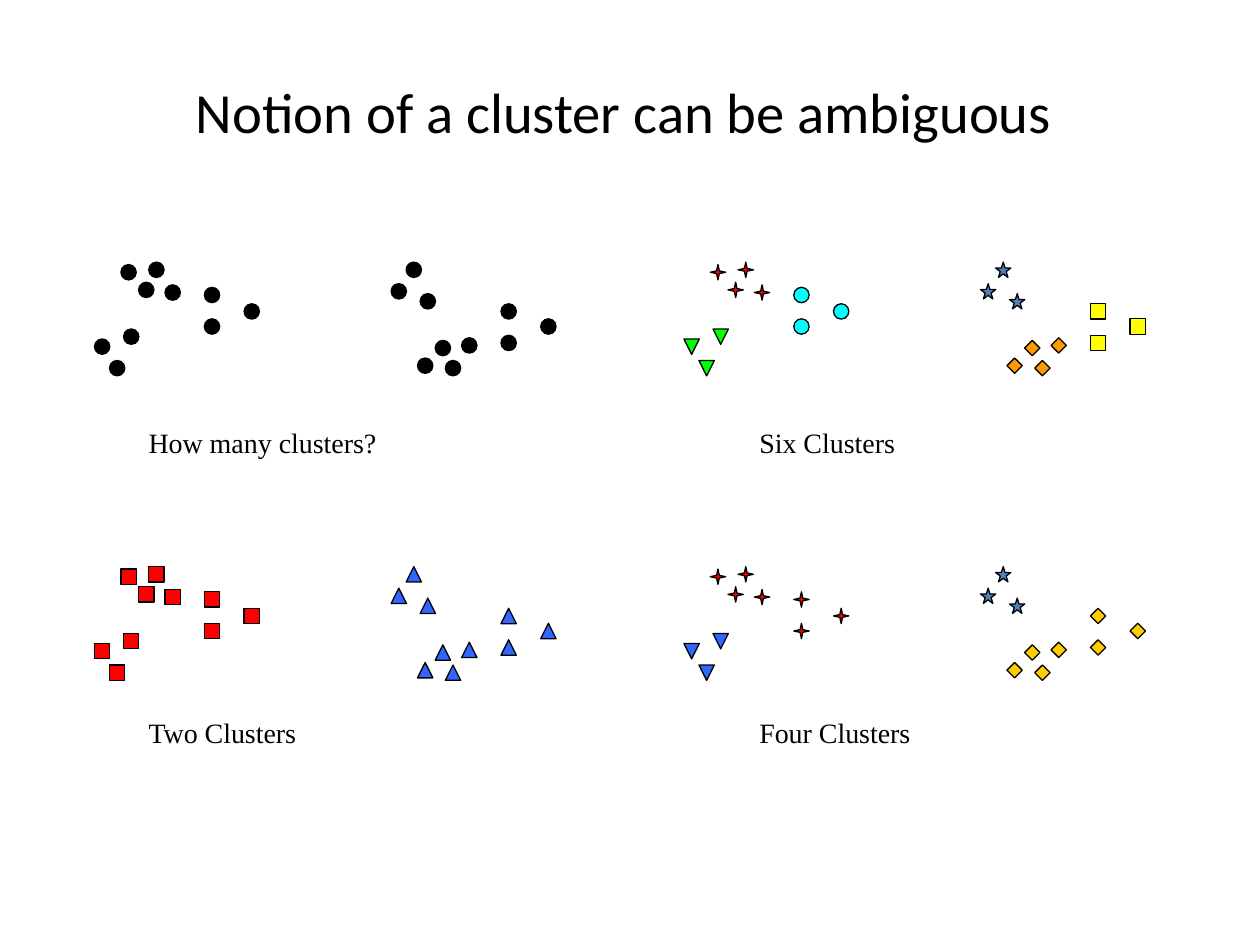
"""Builds a slide on how one set of points can be read as two, four or six clusters."""
import pptx
import pptx.dml.color
import pptx.enum.shapes
import pptx.enum.text
import pptx.util

Pt = pptx.util.Pt
Kind = pptx.enum.shapes.MSO_SHAPE

TRIO = [(16.6, 38.2), (0, 43.9), (8.6, 56.2)]
QUARTET = [(40.3, 13), (15.1, 1.4), (31, 0), (25.2, 11.5)]
WEDGE = [(62.8, 14.4), (85.5, 23.8), (62.8, 32.4)]
LEFT_CLUMPS = [QUARTET, TRIO, WEDGE]
MIRROR_SHIFT, CLOUD_HEIGHT = 169.5, 56.2
RIGHT_CLUMPS = [
    [(x + MIRROR_SHIFT, CLOUD_HEIGHT - y) for x, y in clump] for clump in LEFT_CLUMPS
]

BLACK_DOT = (Kind.OVAL, "000000", 0)
RED_SQUARE = (Kind.RECTANGLE, "FF0000", 0)
BLUE_TRIANGLE = (Kind.ISOSCELES_TRIANGLE, "3366FF", 0)
RED_SPARK = (Kind.STAR_4_POINT, "FF0000", 0)
BLUE_STAR = (Kind.STAR_5_POINT, "4F81BD", 0)
BLUE_EXTRACT = (Kind.FLOWCHART_EXTRACT, "3366FF", 180)
GOLD_DIAMOND = (Kind.DIAMOND, "FFCC00", 0)
GREEN_TRIANGLE = (Kind.ISOSCELES_TRIANGLE, "00FF00", 180)
CYAN_DOT = (Kind.OVAL, "00FFFF", 0)
ORANGE_DIAMOND = (Kind.DIAMOND, "FF9900", 0)
YELLOW_SQUARE = (Kind.RECTANGLE, "FFFF00", 0)

LEFT, RIGHT = 54, 390.8
TOP, BOTTOM = 149.8, 323.8
UPPER_LABEL, LOWER_LABEL = 239.8, 405.4

PANELS = [
    ("How many clusters?", LEFT, TOP, UPPER_LABEL, [BLACK_DOT] * 3, [BLACK_DOT] * 3),
    ("Four Clusters", RIGHT, BOTTOM, LOWER_LABEL,
     [RED_SPARK, BLUE_EXTRACT, RED_SPARK], [GOLD_DIAMOND, BLUE_STAR, GOLD_DIAMOND]),
    ("Two Clusters", LEFT, BOTTOM, LOWER_LABEL, [RED_SQUARE] * 3, [BLUE_TRIANGLE] * 3),
    ("Six Clusters", RIGHT, TOP, UPPER_LABEL,
     [RED_SPARK, GREEN_TRIANGLE, CYAN_DOT], [ORANGE_DIAMOND, BLUE_STAR, YELLOW_SQUARE]),
]


def color(hex_string):
    """Return the colour for a hex string."""
    return pptx.dml.color.RGBColor.from_string(hex_string)


def write(frame, text, *, font, size, ink="000000", align=pptx.enum.text.PP_ALIGN.LEFT):
    """Put formatted text into a text frame."""
    paragraph = frame.paragraphs[0]
    paragraph.alignment = align
    run = paragraph.add_run()
    run.text = text
    run.font.name = font
    run.font.size = Pt(size)
    run.font.color.rgb = color(ink)


class ClusterSlide:
    """Holds the style and the current slide."""

    title_font, label_font = "Calibri", "Times New Roman"
    title_size, label_size = 32.4, 16
    marker_size, outline_width, outline = 8.8, 0.75, "000000"

    def __init__(self, deck):
        """Add a title-only slide to the deck."""
        self.slide = deck.slides.add_slide(deck.slide_layouts[5])

    def title(self, text):
        """Fill and place the title placeholder."""
        heading = self.slide.shapes.title
        heading.left, heading.top = Pt(30.2), Pt(41.8)
        heading.width, heading.height = Pt(652.3), Pt(43.2)
        heading.text_frame.vertical_anchor = pptx.enum.text.MSO_ANCHOR.MIDDLE
        write(heading.text_frame, text, font=self.title_font, size=self.title_size,
              align=pptx.enum.text.PP_ALIGN.CENTER)

    def marker(self, group, x, y, style):
        """Draw one data point."""
        kind, fill, turn = style
        side = Pt(self.marker_size)
        point = group.shapes.add_shape(kind, Pt(x), Pt(y), side, side)
        point.rotation = turn
        point.shadow.inherit = False
        point.fill.solid()
        point.fill.fore_color.rgb = color(fill)
        point.line.color.rgb = color(self.outline)
        point.line.width = Pt(self.outline_width)
        if kind == Kind.STAR_4_POINT:
            point.adjustments[0] = 0.125

    def label(self, group, text, x, y):
        """Write the caption of a panel."""
        caption = group.shapes.add_textbox(Pt(x), Pt(y), Pt(180), Pt(26.4))
        caption.text_frame.word_wrap = True
        caption.text_frame.auto_size = pptx.enum.text.MSO_AUTO_SIZE.SHAPE_TO_FIT_TEXT
        write(caption.text_frame, text, font=self.label_font, size=self.label_size)

    def panel(self, text, left, top, label_top, left_styles, right_styles):
        """Draw both point clouds and the caption as one group."""
        group = self.slide.shapes.add_group_shape()
        for clump, style in zip(RIGHT_CLUMPS + LEFT_CLUMPS, right_styles + left_styles):
            for x, y in clump:
                self.marker(group, left + x, top + y, style)
        self.label(group, text, left + 36 - 12.2 * (left == LEFT), label_top)


def main():
    """Build and save the deck."""
    deck = pptx.Presentation()
    deck.slide_width, deck.slide_height = Pt(720), Pt(540)
    page = ClusterSlide(deck)
    page.title("Notion of a cluster can be ambiguous")
    for panel in PANELS:
        page.panel(*panel)
    deck.save("out.pptx")


if __name__ == "__main__":
    main()
